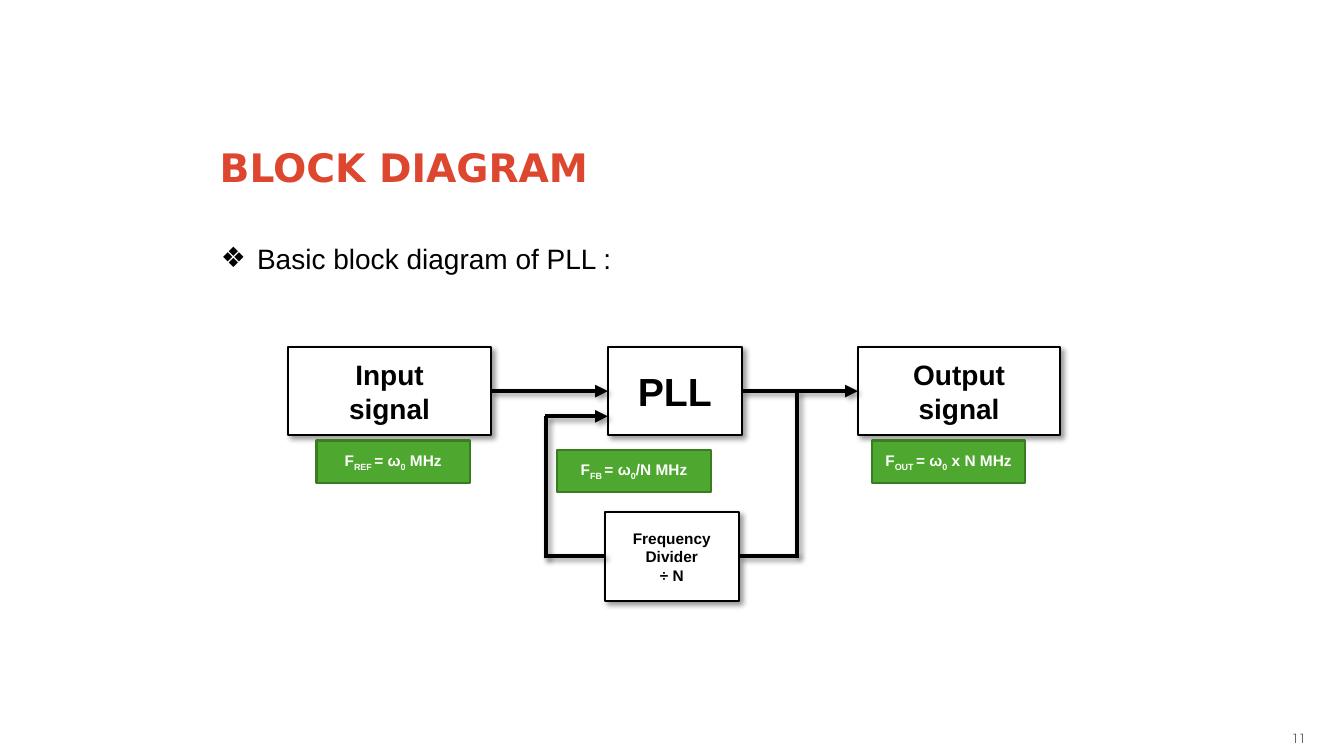
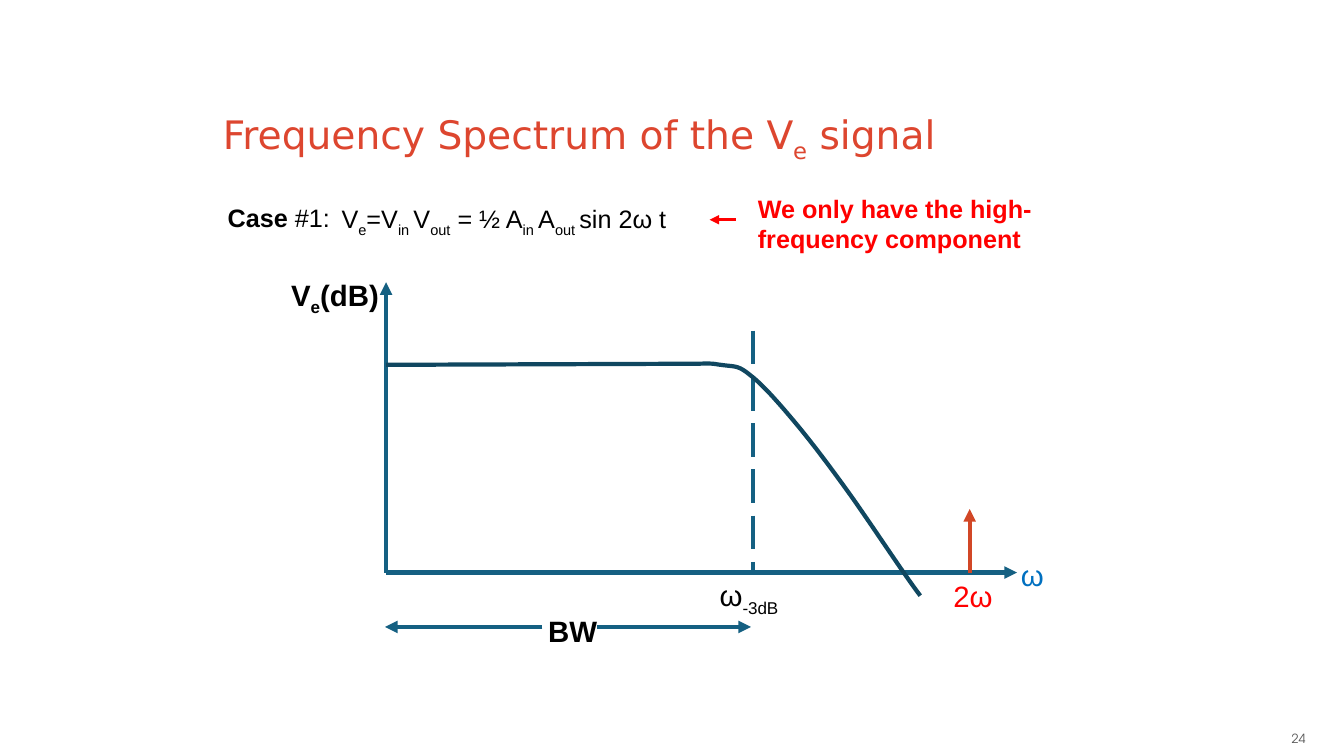
from dataclasses import dataclass
from typing import NamedTuple

from lxml.etree import SubElement as Sub
from pptx import Presentation
from pptx.dml.color import RGBColor
from pptx.enum.dml import MSO_LINE as Dash
from pptx.enum.shapes import MSO_CONNECTOR as Conn, MSO_SHAPE as Kind
from pptx.enum.text import MSO_ANCHOR as Anchor, MSO_AUTO_SIZE as Auto, PP_ALIGN as Align
from pptx.oxml.ns import qn
from pptx.util import Inches, Pt

CELL = Inches(0.1)
COLS, ROWS = 133.33, 75
BLACK, WHITE, RED = "000000", "FFFFFF", "FF0000"
TITLE, GREY = "DD462F", "595959"
GREEN, MOSS = "4EA72E", "3A7C22"
TEAL, NAVY, RUST = "156082", "104760", "D24726"
HEAD, BASE, FOOT = "DejaVu Sans", "Arial", "TeX Gyre Adventor"


class Bit(NamedTuple):
    text: str
    sub: bool = False
    bold: bool = False


class Area(NamedTuple):
    col: float
    row: float
    wide: float
    high: float


@dataclass
class Style:
    size: float
    color: str = BLACK
    bold: bool = False
    font: str = BASE
    align: Align = Align.LEFT


@dataclass
class Block:
    area: Area
    lines: list[str]
    size: float


@dataclass
class Label:
    area: Area
    text: str
    style: Style
    wrap: bool = False


@dataclass
class Wire:
    start: tuple[float, float]
    end: tuple[float, float]
    color: str = BLACK
    width: float = 3
    arrow: bool = False
    dash: bool = False


def grid(count: float) -> int:
    return round(count * CELL)


def paint(code: str) -> RGBColor:
    return RGBColor.from_string(code)


def split(text: str, bold: bool = False) -> list[Bit]:
    return [Bit(part, i % 2 == 1, bold) for i, part in enumerate(text.split("|"))]


def write(para, bits: list[Bit], style: Style) -> None:
    para.alignment = style.align
    for bit in bits:
        run = para.add_run()
        run.text = bit.text
        run.font.size = Pt(style.size)
        run.font.name = style.font
        run.font.bold = bit.bold
        run.font.color.rgb = paint(style.color)
        if bit.sub:
            run._r.get_or_add_rPr().set("baseline", "-25000")


def frame(shape, anchor: Anchor, side: float = 0.1, top: float = 0.05, wrap: bool = True):
    body = shape.text_frame
    body.auto_size = Auto.NONE
    body.word_wrap = wrap
    body.vertical_anchor = anchor
    body.margin_left = body.margin_right = Inches(side)
    body.margin_top = body.margin_bottom = Inches(top)
    return body


def place(shape, area: Area) -> None:
    shape.left, shape.top, shape.width, shape.height = map(grid, area)


def shade(props) -> None:
    glow = props.find(qn("a:effectLst"))
    cast = Sub(glow, qn("a:outerShdw"), blurRad=str(Pt(4)), dist=str(Pt(3)),
               dir="2700000", algn="tl", rotWithShape="0")
    tint = Sub(cast, qn("a:srgbClr"), val=BLACK)
    Sub(tint, qn("a:alpha"), val="40000")


def box(slide, area: Area, fill: str, edge: str):
    shape = slide.shapes.add_shape(Kind.RECTANGLE, *map(grid, area))
    shape.fill.solid()
    shape.fill.fore_color.rgb = paint(fill)
    shape.line.color.rgb = paint(edge)
    shape.line.width = Pt(1.5)
    shape.shadow.inherit = False
    return shape


def block(slide, item: Block):
    shape = box(slide, item.area, WHITE, BLACK)
    shade(shape._element.spPr)
    body = frame(shape, Anchor.MIDDLE)
    style = Style(item.size, align=Align.CENTER)
    for i, text in enumerate(item.lines):
        para = body.add_paragraph() if i else body.paragraphs[0]
        write(para, split(text, True), style)
    return shape


def tag(slide, col: float, row: float, text: str) -> None:
    shape = box(slide, Area(col, row, 15.2, 4.2), GREEN, MOSS)
    body = frame(shape, Anchor.MIDDLE)
    write(body.paragraphs[0], split(text, True), Style(11, WHITE, align=Align.CENTER))


def label(slide, item: Label, anchor: Anchor = Anchor.TOP):
    shape = slide.shapes.add_textbox(*map(grid, item.area))
    para = frame(shape, anchor, wrap=item.wrap).paragraphs[0]
    write(para, split(item.text, item.style.bold), item.style)
    return para


def wire(slide, item: Wire, shadow: bool = False):
    line = slide.shapes.add_connector(Conn.STRAIGHT, *map(grid, item.start + item.end))
    line.line.color.rgb = paint(item.color)
    line.line.width = Pt(item.width)
    if item.dash:
        line.line.dash_style = Dash.LONG_DASH
    props = line._element.spPr
    if item.arrow:
        Sub(props.find(qn("a:ln")), qn("a:tailEnd"), type="triangle")
    Sub(props, qn("a:effectLst"))
    if shadow:
        shade(props)
    return line


def bullet(para, mark: str) -> None:
    props = para._p.get_or_add_pPr()
    props.set("marL", str(Inches(0.38)))
    props.set("indent", str(-Inches(0.36)))
    Sub(Sub(props, qn("a:buClr")), qn("a:srgbClr"), val=BLACK)
    Sub(props, qn("a:buFont"), typeface=BASE)
    Sub(props, qn("a:buChar"), char=mark)


def start(deck, kind: int, area: Area, text: str, page: str, side: float, bold: bool = False):
    slide = deck.slides.add_slide(deck.slide_layouts[kind])
    title = slide.shapes.title
    place(title, area)
    para = frame(title, Anchor.BOTTOM, side, side / 2).paragraphs[0]
    write(para, split(text, bold), Style(28, TITLE, font=HEAD))
    foot = Style(9, GREY, font=FOOT, align=Align.RIGHT)
    label(slide, Label(Area(94.7, 71.3, 35.8, 4), page, foot, True), Anchor.MIDDLE)
    return slide


def bend(a, b, c, d, steps: int = 16) -> list[tuple[float, float]]:
    def mix(t: float, axis: int) -> float:
        u = 1 - t
        return (u ** 3 * a[axis] + 3 * u * u * t * b[axis]
                + 3 * u * t * t * c[axis] + t ** 3 * d[axis])

    return [(mix(i / steps, 0), mix(i / steps, 1)) for i in range(1, steps + 1)]


def curve(slide, first, knots: list, color: str) -> None:
    dots, last = [knots[0]], knots[0]
    for b, c, d in zip(knots[1::3], knots[2::3], knots[3::3]):
        dots += bend(last, b, c, d)
        last = d
    pen = slide.shapes.build_freeform(*map(grid, first))
    pen.add_line_segments([(grid(x), grid(y)) for x, y in dots], close=False)
    shape = pen.convert_to_shape()
    shape.fill.background()
    shape.line.color.rgb = paint(color)
    shape.line.width = Pt(3)
    shape.shadow.inherit = False


def diagram(deck) -> None:
    slide = start(deck, 1, Area(21.1, 8.3, 64.7, 10.9), "BLOCK DIAGRAM", "11", 0.07, True)
    body = slide.placeholders[1]
    place(body, Area(21.7, 21.3, 89.9, 5.4))
    text = frame(body, Anchor.TOP, 0, 0)
    text.margin_top = Inches(0.1)
    para = text.paragraphs[0]
    para.line_spacing = 1.5
    para.space_before = Pt(0)
    bullet(para, "❖")
    write(para, split("Basic block diagram of PLL :"), Style(20, align=Align.JUSTIFY))

    top, high = 34.4, 8.8
    loop, out, turn, low = 54.2, 79.1, 41.3, 55.2
    pll, sink, source, part = [block(slide, item) for item in (
        Block(Area(60.3, top, 13.3, high), ["PLL"], 28),
        Block(Area(85.1, top, 20.1, high), ["Output", "signal"], 20),
        Block(Area(28.6, top, 20.1, high), ["Input", "signal"], 20),
        Block(Area(60, 50.8, 13.3, high), ["Frequency Divider", "÷ N"], 11),
    )]
    mid = top + high / 2
    for left, right, ends in ((source, pll, (48.7, 60.3)), (pll, sink, (73.6, 85.1))):
        line = wire(slide, Wire((ends[0], mid), (ends[1], mid), arrow=True), True)
        line.begin_connect(left, 3)
        line.end_connect(right, 1)
    for item in (
        Wire((out, mid), (out, low)),
        Wire((loop, low + 0.2), (loop, turn)),
        Wire((loop - 0.1, turn), (60.3, turn), arrow=True),
    ):
        wire(slide, item, True)
    wire(slide, Wire((73.3, low), (out + 0.2, low)), True).begin_connect(part, 3)
    wire(slide, Wire((loop - 0.2, low), (60, low)), True).end_connect(part, 1)
    tag(slide, 31.4, 43.7, "F|REF |= ω|0| MHz")
    tag(slide, 86.5, 43.7, "F|OUT |= ω|0| x N MHz")
    tag(slide, 55.3, 44.6, "F|FB |= ω|0|/N MHz")


def spectrum(deck) -> None:
    slide = start(deck, 5, Area(21.1, 6.1, 76.4, 10.7),
                  "Frequency Spectrum of the V|e| signal", "24", 0.1)
    left, floor, edge, span = 38.3, 56.8, 74.7, 62.2
    for item in (
        Wire((left, floor), (100.9, floor), TEAL, arrow=True),
        Wire((left, floor), (left, 28), TEAL, arrow=True),
        Wire((edge, 32.8), (edge, floor), TEAL, dash=True),
        Wire((96.2, floor), (96.2, 50.5), RUST, arrow=True),
        Wire((59.2, span), (74.5, span), TEAL, arrow=True),
        Wire((53.8, span), (38.2, span), TEAL, arrow=True),
        Wire((73, 21.8), (70.4, 21.8), RED, 2.25, arrow=True),
    ):
        wire(slide, item)
    curve(slide, (left, 36.2), [
        (65.9, 36.1),
        (71.5, 36.1), (70.1, 36), (71.5, 36.2),
        (72.9, 36.4), (73.2, 36.2), (74.4, 37.2),
        (75.6, 38.1), (77.1, 39.8), (78.7, 41.7),
        (80.3, 43.6), (81.9, 45.7), (84, 48.6),
        (86.1, 51.5), (89.9, 57.3), (91.3, 59.1),
    ], NAVY)
    plain, bold = Style(21), Style(21, bold=True)
    for item in (
        Label(Area(93.6, 56.9, 6.6, 4.5), "2ω", Style(21, RED)),
        Label(Area(70.4, 56.8, 14.1, 4.5), "ω|-3dB", plain),
        Label(Area(53.4, 60.3, 9.8, 4.5), "BW", bold),
        Label(Area(27.9, 27, 15.3, 4.5), "V|e|(dB)", bold),
        Label(Area(100.3, 54.8, 2.8, 4.5), "ω", Style(21, "0070C0")),
        Label(Area(32.9, 19.7, 38, 4), "V|e|=V|in |V|out| = ½ A|in |A|out |sin 2ω t", Style(18)),
        Label(Area(74.2, 18.7, 29.4, 7.1), "We only have the high- frequency component",
              Style(18, RED, True), True),
    ):
        label(slide, item)
    para = label(slide, Label(Area(21.6, 19.6, 13, 4), "Case ", Style(18, bold=True)))
    write(para, [Bit("#1:")], Style(18))


def main() -> None:
    deck = Presentation()
    deck.slide_width, deck.slide_height = grid(COLS), grid(ROWS)
    diagram(deck)
    spectrum(deck)
    deck.save("out.pptx")


if __name__ == "__main__":
    main()
